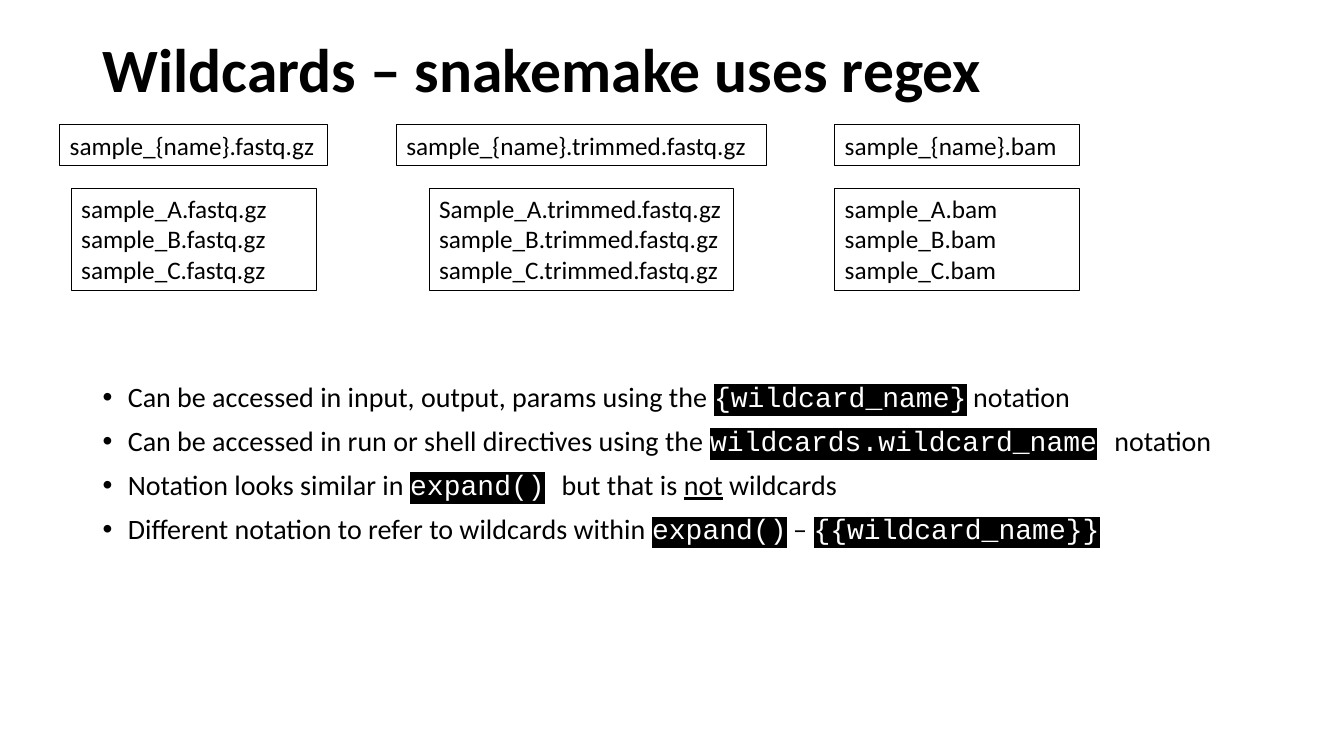
from dataclasses import dataclass
from typing import NamedTuple

from lxml import etree
from pptx import Presentation
from pptx.dml.color import RGBColor
from pptx.enum.text import MSO_ANCHOR, MSO_AUTO_SIZE
from pptx.oxml.ns import qn
from pptx.util import Inches, Pt

TOP, MIDDLE = MSO_ANCHOR.TOP, MSO_ANCHOR.MIDDLE
FIT, FIXED = MSO_AUTO_SIZE.SHAPE_TO_FIT_TEXT, MSO_AUTO_SIZE.NONE
WIDE, HIGH = Inches(13.33), Inches(7.5)


@dataclass(frozen=True)
class Theme:
    ink: str = "000000"
    paper: str = "FFFFFF"
    sans: str = "Calibri"
    mono: str = "Courier New"
    title: int = 44
    body: int = 20
    label: int = 18
    edge: float = 0.75


THEME = Theme()


class Area(NamedTuple):
    """Place and size in percent of the slide."""
    left: float
    top: float
    width: float
    height: float


class Band(NamedTuple):
    top: float
    height: float


class Column(NamedTuple):
    mid: float
    wide: float
    slim: float
    ending: str
    first: str = "sample"


class Piece(NamedTuple):
    text: str
    kind: str = "plain"


# Run formats by kind
KINDS = {
    "plain": {"name": THEME.sans},
    "bold": {"name": THEME.sans, "bold": True},
    "under": {"name": THEME.sans, "underline": True},
    "code": {"name": THEME.mono},
    "gap": {"name": THEME.mono},
}

# Slide content
HEAD = Area(6.9, 0, 86.27, 19.33)
BODY = Area(6.9, 50, 88.6, 40.13)
RULE, FILES = Band(16.53, 5.33), Band(24.93, 13.47)
COLUMNS = [
    Column(14.42, 19.95, 18.23, "fastq.gz"),
    Column(43.26, 27.53, 22.66, "trimmed.fastq.gz", "Sample"),
    Column(71.23, 18.23, 18.23, "bam"),
]
POINTS = [
    [Piece("Can be accessed in input, output, params using the "),
     Piece("{wildcard_name}", "code"), Piece(" notation")],
    [Piece("Can be accessed in run or shell directives using the "),
     Piece("wildcards.wildcard_name", "code"), Piece(" ", "gap"),
     Piece("notation")],
    [Piece("Notation looks similar in "), Piece("expand()", "code"),
     Piece(" ", "gap"), Piece("but that is "), Piece("not", "under"),
     Piece(" wildcards")],
    [Piece("Different notation to refer to wildcards within "),
     Piece("expand()", "code"), Piece(" – "),
     Piece("{{wildcard_name}}", "code")],
]


def assign(item, values: dict) -> None:
    for key, value in values.items():
        setattr(item, key, value)


def add_run(para, piece: Piece, size: int) -> None:
    run = para.add_run()
    run.text = piece.text
    code = piece.kind == "code"
    run.font.color.rgb = RGBColor.from_string(THEME.paper if code else THEME.ink)
    if code:
        mark = etree.SubElement(run.font._element, qn("a:highlight"))
        etree.SubElement(mark, qn("a:srgbClr"), val=THEME.ink)
    assign(run.font, {"size": Pt(size), **KINDS[piece.kind]})


def add_text(slide, area: Area, lines: list[list[Piece]], size: int,
             frame: dict, para: dict):
    box = slide.shapes.add_textbox(
        int(WIDE * area.left / 100), int(HIGH * area.top / 100),
        int(WIDE * area.width / 100), int(HIGH * area.height / 100))
    text = box.text_frame
    assign(text, {"word_wrap": True, **frame})
    for num, line in enumerate(lines):
        part = text.add_paragraph() if num else text.paragraphs[0]
        assign(part, para)
        for piece in line:
            add_run(part, piece, size)
    return box


def add_bullets(box) -> None:
    for para in box.text_frame.paragraphs:
        props = para._p.get_or_add_pPr()
        assign_xml = {"marL": Inches(0.25), "indent": -Inches(0.25)}
        for key, value in assign_xml.items():
            props.set(key, str(int(value)))
        etree.SubElement(props, qn("a:buFont"), typeface="Arial")
        etree.SubElement(props, qn("a:buChar"), char="•")


def add_card(slide, mid: float, width: float, band: Band,
             names: list[str]) -> None:
    area = Area(mid - width / 2, band.top, width, band.height)
    box = add_text(slide, area, [[Piece(name)] for name in names], THEME.label,
                   {"vertical_anchor": TOP, "auto_size": FIT}, {})
    box.line.color.rgb = RGBColor.from_string(THEME.ink)
    box.line.width = Pt(THEME.edge)


def main() -> None:
    deck = Presentation()
    assign(deck, {"slide_width": WIDE, "slide_height": HIGH})
    slide = deck.slides.add_slide(deck.slide_layouts[6])

    # Title
    add_text(slide, HEAD, [[Piece("Wildcards – snakemake uses regex", "bold")]],
             THEME.title, {"vertical_anchor": MIDDLE, "auto_size": FIXED},
             {"line_spacing": 0.9})

    # Bullet points
    body = add_text(slide, BODY, POINTS, THEME.body,
                    {"vertical_anchor": TOP, "auto_size": FIXED},
                    {"line_spacing": 0.9, "space_before": Pt(10)})
    add_bullets(body)

    # File patterns above the files they match
    for col in COLUMNS:
        add_card(slide, col.mid, col.wide, RULE, [f"sample_{{name}}.{col.ending}"])
        stems = [f"{col.first}_A", "sample_B", "sample_C"]
        add_card(slide, col.mid, col.slim, FILES,
                 [f"{stem}.{col.ending}" for stem in stems])

    deck.save("out.pptx")


if __name__ == "__main__":
    main()
